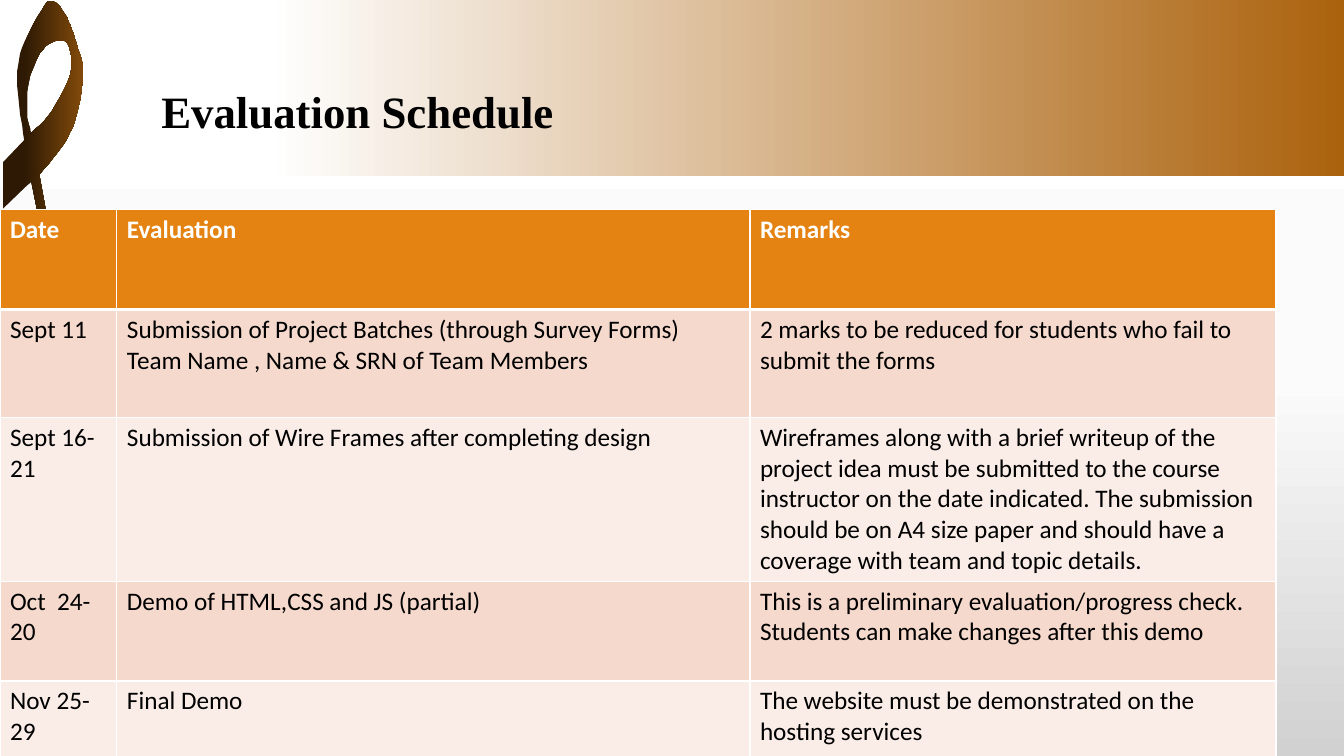
from copy import deepcopy

from lxml import etree
from pptx import Presentation
from pptx.dml.color import RGBColor
from pptx.enum.shapes import MSO_SHAPE
from pptx.enum.text import MSO_ANCHOR, MSO_AUTO_SIZE, PP_ALIGN
from pptx.oxml.ns import qn
from pptx.util import Inches, Pt

RECT = MSO_SHAPE.RECTANGLE
LEFT = PP_ALIGN.LEFT
LOW = MSO_ANCHOR.BOTTOM
FIXED = MSO_AUTO_SIZE.NONE

WIDE, HIGH = Inches(13.33), Inches(7.5)
COL, ROW = WIDE / 40, HIGH / 30
STEPS = 6
UNIT = Inches(0.01)

HUES = {
    "white": "FFFFFF",
    "mist": "FBFBFB",
    "gray": "D1D1D1",
    "bronze": "AB620D",
    "brown": "2E1A04",
    "black": "000000",
    "head": "E48312",
    "odd": "F5D9CC",
    "even": "FAEDE7",
}
TITLE = {"name": "Times New Roman", "size": Pt(32), "bold": True}
HEAD = {"name": "Calibri", "size": Pt(18), "bold": True}
BODY = {**HEAD, "bold": False}

COLS = [3.48, 18.84, 15.66]
ROWS = [3.96, 4.28, 4.64, 3.96, 3.96]
PLAN = [
    ["Date", "Evaluation", "Remarks"],
    ["Sept 11",
     "Submission of Project Batches (through Survey Forms)\n"
     "Team Name , Name & SRN of Team Members",
     "2 marks to be reduced for students who fail to submit the forms"],
    ["Sept 16-21", "Submission of Wire Frames after completing design",
     "Wireframes along with a brief writeup of the project idea must be "
     "submitted to the course instructor on the date indicated. The submission "
     "should be on A4 size paper and should have a coverage with team and "
     "topic details."],
    ["Oct  24-20", "Demo of HTML,CSS and JS (partial)",
     "This is a preliminary evaluation/progress check. Students can make "
     "changes after this demo"],
    ["Nov 25-29", "Final Demo",
     "The website must be demonstrated on the hosting services"],
]

LOOP = [(39, 173), (58, 150), (74, 121), (82, 72), (74, 38), (65, 15),
        (54, 2), (44, 6), (22, 47), (17, 85), (24, 139)]
TAIL = [(3, 161), (3, 207), (31, 180), (39, 219)]
BASE = [(3, 270), (3, 436), (40, 449), (80, 400), (71, 338)]
BOWL = [(100, 316), (110, 270), (102, 241), (74, 219), (47, 217)]
HOLE = [(31, 132), (27, 113), (29, 80), (40, 52), (57, 40),
        (68, 45), (70, 73), (51, 111), (31, 132)]


def tone(key):
    return RGBColor.from_string(HUES[key])


def style(item, form):
    for key, value in form.items():
        setattr(item, key, value)


def blend(fill, root, stops, angle=0):
    fill.gradient()
    fill.gradient_angle = angle
    marks = next(root.iter(qn("a:gsLst")))
    while len(marks) < len(stops):
        marks.append(deepcopy(marks[-1]))
    for stop, (spot, key) in zip(fill.gradient_stops, stops):
        stop.position = spot
        stop.color.rgb = tone(key)


def finish(shape, stops):
    shape.shadow.inherit = False
    shape.line.fill.background()
    blend(shape.fill, shape.element, stops)


def smooth(dots):
    ends = [dots[0], *dots, dots[-1]]
    curve = [dots[0]]
    for group in zip(ends, ends[1:], ends[2:], ends[3:]):
        for step in range(1, STEPS + 1):
            t = step / STEPS
            curve.append(tuple(
                b + t * (c - a + t * (2 * a - 5 * b + 4 * c - d
                                      + t * (3 * b - a - 3 * c + d))) / 2
                for a, b, c, d in zip(*group)))
    return curve


def add_clef(slide):
    rim = smooth(LOOP) + TAIL + BASE + smooth(BOWL)
    pen = slide.shapes.build_freeform(*rim[0], scale=UNIT)
    pen.add_line_segments(rim[1:])
    pen.move_to(*HOLE[0])
    pen.add_line_segments(smooth(HOLE)[1:])
    finish(pen.convert_to_shape(), [(0.2, "brown"), (1, "bronze")])


def add_band(slide):
    band = slide.shapes.add_shape(RECT, 0, 0, WIDE, int(7 * ROW))
    finish(band, [(0.2, "white"), (1, "bronze")])


def add_title(slide, text):
    title = slide.shapes.title
    title.element.getparent().append(title.element)
    style(title, {"left": int(4.5 * COL), "top": int(0.88 * ROW),
                  "width": int(31 * COL), "height": int(4.8 * ROW)})
    frame = title.text_frame
    frame.text = text
    style(frame, {"vertical_anchor": LOW, "auto_size": FIXED, "word_wrap": True})
    line = frame.paragraphs[0]
    style(line, {"alignment": LEFT, "line_spacing": 0.9})
    style(line.font, TITLE)
    line.font.color.rgb = tone("black")


def edge(cell, side, width):
    props = cell._tc.get_or_add_tcPr()
    line = etree.Element(qn("a:" + side), w=str(Pt(width)))
    paint = etree.SubElement(line, qn("a:solidFill"))
    etree.SubElement(paint, qn("a:srgbClr"), val=HUES["white"])
    props.insert(len(props) - 1, line)


def fill_cell(cell, text, row):
    cell.text = text
    cell.fill.solid()
    cell.fill.fore_color.rgb = tone("head" if row == 0 else "odd" if row % 2 else "even")
    for line in cell.text_frame.paragraphs:
        style(line.font, BODY if row else HEAD)
        line.font.color.rgb = tone("black" if row else "white")
    for side in ("lnL", "lnR", "lnT", "lnB"):
        thick = (row, side) in ((0, "lnB"), (1, "lnT"))
        edge(cell, side, 3 if thick else 1)


def add_plan(slide):
    grid = slide.shapes.add_table(len(ROWS), len(COLS), 0, int(8.32 * ROW),
                                  int(sum(COLS) * COL), int(sum(ROWS) * ROW)).table
    for col, span in zip(grid.columns, COLS):
        col.width = int(span * COL)
    for r, (row, span) in enumerate(zip(grid.rows, ROWS)):
        row.height = int(span * ROW)
        for cell, text in zip(row.cells, PLAN[r]):
            fill_cell(cell, text, r)


def main():
    deck = Presentation()
    style(deck, {"slide_width": WIDE, "slide_height": HIGH})
    slide = deck.slides.add_slide(deck.slide_layouts[5])
    blend(slide.background.fill, slide.element,
          [(0, "white"), (0.5, "mist"), (1, "gray")], 270)
    add_band(slide)
    add_clef(slide)
    add_title(slide, "Evaluation Schedule")
    add_plan(slide)
    deck.save("out.pptx")


if __name__ == "__main__":
    main()
